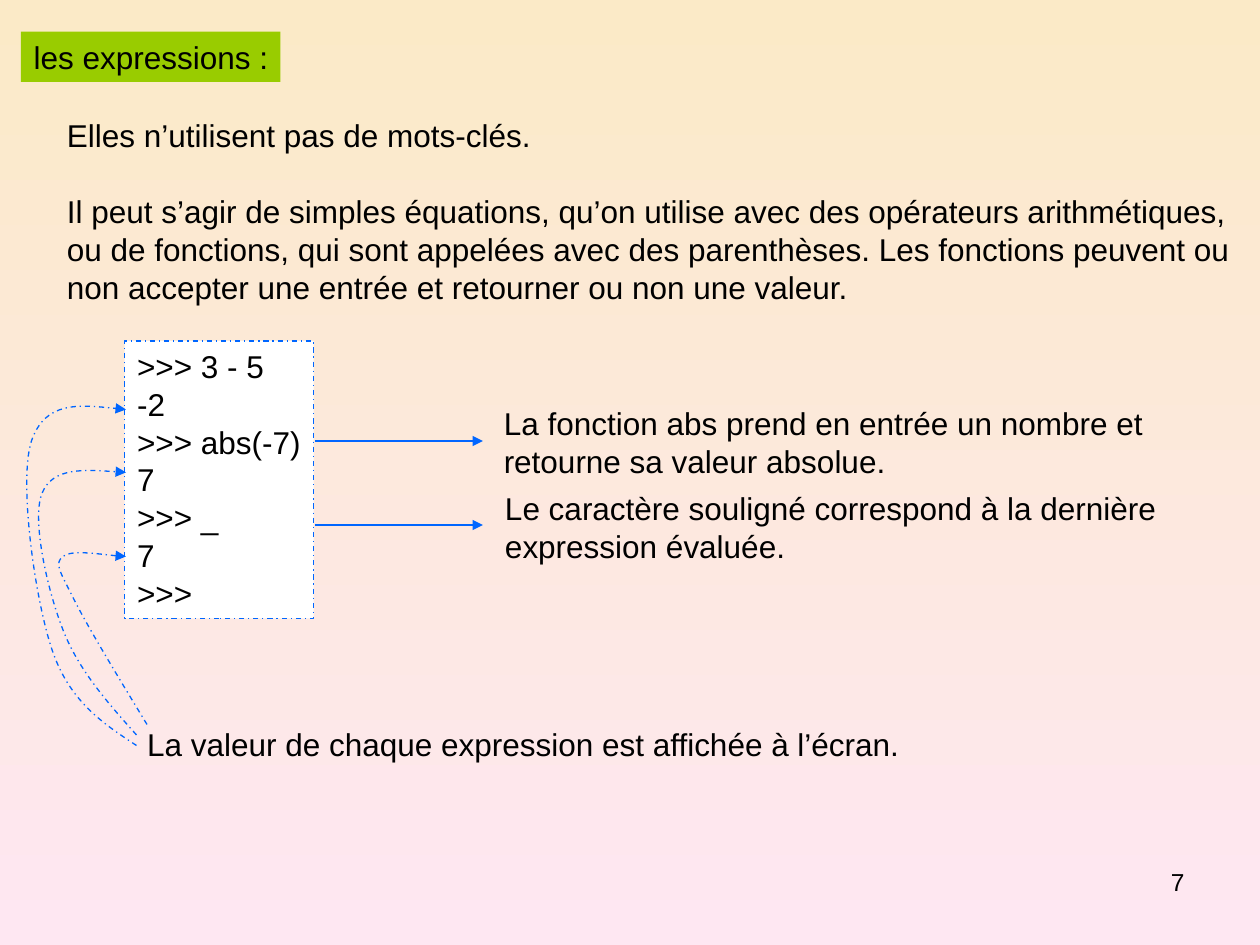
from lxml.etree import SubElement
from pptx import Presentation
from pptx.dml.color import RGBColor
from pptx.enum.dml import MSO_LINE
from pptx.enum.shapes import MSO_CONNECTOR, MSO_SHAPE
from pptx.enum.text import MSO_ANCHOR, MSO_AUTO_SIZE, PP_ALIGN
from pptx.oxml.ns import qn
from pptx.util import Pt

BLACK = RGBColor(0x00, 0x00, 0x00)
WHITE = RGBColor(0xFF, 0xFF, 0xFF)
GREEN = RGBColor(0x99, 0xCC, 0x00)
BLUE = RGBColor(0x00, 0x66, 0xFF)
CREAM = RGBColor(0xFB, 0xEA, 0xC7)
PINK = RGBColor(0xFE, 0xE7, 0xF2)

RULES = [
    "Elles n’utilisent pas de mots-clés.",
    "Il peut s’agir de simples équations, qu’on utilise avec des opérateurs arithmétiques,",
    "ou de fonctions, qui sont appelées avec des parenthèses. Les fonctions peuvent ou",
    "non accepter une entrée et retourner ou non une valeur.",
]
SESSION = [">>> 3 - 5", "-2", ">>> abs(-7)", "7", ">>> _", "7", ">>>"]
ABS_NOTE = ["La fonction abs prend en entrée un nombre et", "retourne sa valeur absolue."]
UNDERSCORE_NOTE = ["Le caractère souligné correspond à la dernière", "expression évaluée."]
DISPLAY_NOTE = ["La valeur de chaque expression est affichée à l’écran."]

CURVES = [
    [(78, 426), (59, 413.5), (40, 401), (30, 372), (20, 343), (10.5, 275),
     (18, 252), (26, 229), (48, 231.5), (72, 234)],
    [(78, 420), (61.5, 401.5), (45, 383), (36, 360), (27, 337), (18, 297),
     (24, 282), (30, 267), (51, 268.5), (72, 270)],
    [(84, 414), (67, 386), (50, 358), (42, 342), (34, 326), (31, 322),
     (36, 318), (41, 314), (66, 318), (72, 318)],
]


def write(sp, lines, size=18, align=PP_ALIGN.LEFT, wrap=False, spacing=21.7, gap_at=None,
          plain=False, margin_right=7.2):
    """Write one paragraph per line into a shape."""
    tf = sp.text_frame
    tf.word_wrap = wrap
    tf.auto_size = MSO_AUTO_SIZE.NONE
    tf.vertical_anchor = MSO_ANCHOR.TOP
    tf.margin_right = Pt(margin_right)
    for i, line in enumerate(lines):
        p = tf.paragraphs[0] if i == 0 else tf.add_paragraph()
        if plain:
            pPr = p._p.get_or_add_pPr()
            pPr.set("marL", "0")
            pPr.set("indent", "0")
            SubElement(pPr, qn("a:buNone"))
        p.alignment = align
        p.line_spacing = Pt(spacing)
        p.space_before = Pt(spacing if i == gap_at else 0)
        r = p.add_run()
        r.text = line
        r.font.name = "Arial"
        r.font.size = Pt(size)
        r.font.color.rgb = BLACK


def place(sp, left, top, width, height):
    """Move and size a placeholder."""
    sp.left, sp.top, sp.width, sp.height = Pt(left), Pt(top), Pt(width), Pt(height)


def add_note(s, lines, left, top, width, height, **fmt):
    """Add a text box."""
    sp = s.shapes.add_textbox(Pt(left), Pt(top), Pt(width), Pt(height))
    write(sp, lines, **fmt)


def style_line(sp, dash=None, arrow=False):
    """Give a shape or connector the thin blue line."""
    sp.line.color.rgb = BLUE
    sp.line.width = Pt(0.75)
    if dash:
        sp.line.dash_style = dash
    if arrow:
        SubElement(sp.line._get_or_add_ln(), qn("a:tailEnd"), type="triangle")


def add_session(s):
    """Add the framed interpreter session."""
    sp = s.shapes.add_shape(MSO_SHAPE.RECTANGLE, Pt(71.3), Pt(194.8), Pt(108), Pt(158.6))
    sp.shadow.inherit = False
    sp.fill.solid()
    sp.fill.fore_color.rgb = WHITE
    style_line(sp, MSO_LINE.DASH_DOT)
    write(sp, SESSION, spacing=21.6)


def add_arrow(s, y):
    """Add a horizontal arrow from the session to a note."""
    sp = s.shapes.add_connector(MSO_CONNECTOR.STRAIGHT, Pt(180), Pt(y), Pt(276), Pt(y))
    style_line(sp, arrow=True)
    SubElement(sp._element.spPr, qn("a:effectLst"))


def add_curve(s, points):
    """Add a dashed Bezier arrow through groups of three control points."""
    start, *rest = [(Pt(x), Pt(y)) for x, y in points]
    builder = s.shapes.build_freeform(*start)
    builder.add_line_segments(rest, close=False)
    sp = builder.convert_to_shape()
    path = sp._element.spPr.find(".//" + qn("a:path"))
    segments = path.findall(qn("a:lnTo"))
    for i in range(0, len(segments), 3):
        curve = SubElement(path, qn("a:cubicBezTo"))
        for segment in segments[i:i + 3]:
            curve.append(segment[0])
            path.remove(segment)
    sp.shadow.inherit = False
    sp.fill.background()
    style_line(sp, MSO_LINE.DASH_DOT, arrow=True)


def paint_background(s):
    """Fill the background from cream at the top to pink at the bottom."""
    fill = s.background.fill
    fill.gradient()
    fill.gradient_angle = 270
    for stop, color in zip(fill.gradient_stops, (CREAM, PINK)):
        stop.color.rgb = color


def main():
    """Build the slide and save it."""
    prs = Presentation()
    prs.slide_width, prs.slide_height = Pt(720), Pt(540)
    s = prs.slides.add_slide(prs.slide_layouts[1])
    paint_background(s)

    title, body = s.placeholders
    place(title, 12, 18, 148.3, 28.8)
    title.fill.solid()
    title.fill.fore_color.rgb = GREEN
    write(title, ["les expressions :"], margin_right=0)
    place(body, 31, 62.6, 679, 115.2)
    write(body, RULES, gap_at=1, plain=True, margin_right=0)

    add_session(s)
    for y in (252, 300):
        add_arrow(s, y)
    add_note(s, ABS_NOTE, 280.8, 227.2, 379.4, 50.4)
    add_note(s, UNDERSCORE_NOTE, 281.5, 275.8, 386.6, 50.4)
    add_note(s, DISPLAY_NOTE, 77, 410.8, 444.2, 28.8)
    for points in CURVES:
        add_curve(s, points)
    add_note(s, ["7"], 516, 492, 168, 37.4, size=14, align=PP_ALIGN.RIGHT, wrap=True, spacing=16.8)
    prs.save("out.pptx")


if __name__ == "__main__":
    main()
